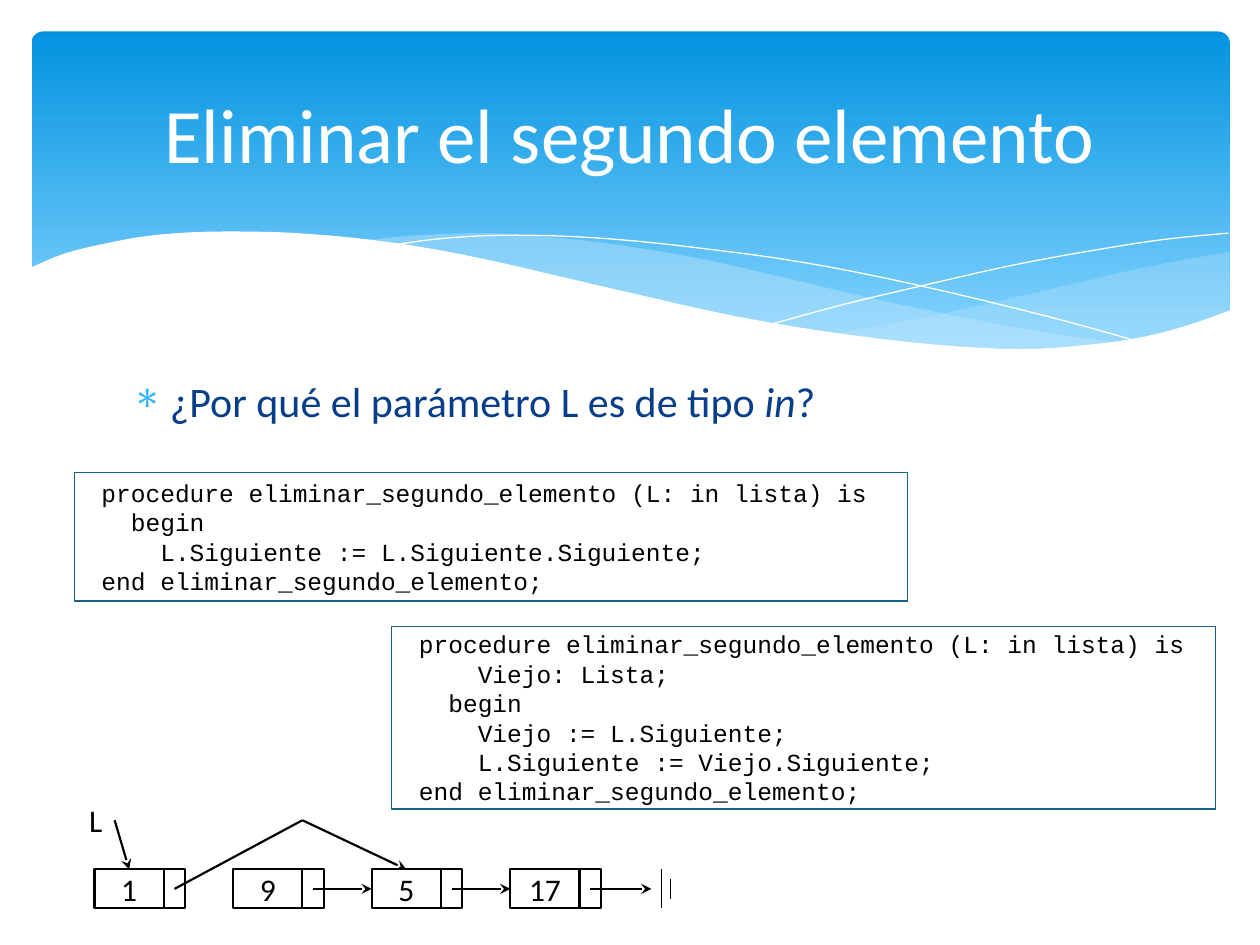
from lxml.etree import SubElement
from pptx import Presentation
from pptx.dml.color import RGBColor
from pptx.enum.shapes import MSO_CONNECTOR, MSO_SHAPE
from pptx.enum.text import MSO_ANCHOR, PP_ALIGN
from pptx.oxml.ns import qn
from pptx.util import Inches, Pt

COLORS = {
    "sky_top": "0293E0", "sky_bottom": "83D3FE", "wave": "C6E7FC", "white": "FFFFFF",
    "black": "000000", "bullet": "31B6FD", "body": "073E87", "code_border": "1A5F84",
}
RIGHT_WAVE_TOP = [(9.76, 2), (9.35, 2.07), (8.91, 2.16), (8.32, 2.3), (7.79, 2.42),
                  (7.29, 2.53), (6.61, 2.65)]
RIGHT_WAVE_BOTTOM = [(6.61, 2.65), (7.05, 2.71), (7.57, 2.76), (8.03, 2.78), (8.54, 2.76),
                     (8.97, 2.7), (9.35, 2.62), (9.76, 2.47)]
LEFT_WAVE_TOP = [(8.93, 2.73), (8.37, 2.65), (7.75, 2.54), (7.06, 2.4), (6.29, 2.22),
                 (5.69, 2.08), (5.14, 1.98), (4.65, 1.91), (4.2, 1.87), (3.8, 1.85),
                 (3.28, 1.87), (2.86, 1.91)]
LEFT_WAVE_BOTTOM = [(2.86, 1.91), (3.42, 1.99), (4.04, 2.11), (4.49, 2.22), (5.3, 2.4),
                    (6.01, 2.55), (6.65, 2.66), (7.22, 2.74), (7.73, 2.77), (8.18, 2.78),
                    (8.57, 2.77), (8.93, 2.73)]
FALLING_LINE = [(3.09, 1.95), (3.44, 1.9), (3.87, 1.87), (4.33, 1.87), (4.89, 1.9),
                (5.56, 1.97), (6.36, 2.08), (7.27, 2.26), (8.31, 2.51), (9.07, 2.72)]
RISING_LINE = [(6.13, 2.57), (6.72, 2.41), (7.48, 2.23), (8.06, 2.1), (8.66, 1.99),
               (9.24, 1.9), (9.75, 1.85)]
WHITE_WAVE = [(9.77, 2.46), (9.4, 2.59), (8.99, 2.69), (8.5, 2.75), (8.09, 2.77),
              (7.61, 2.75), (7.08, 2.7), (6.48, 2.62), (5.79, 2.5), (5.03, 2.33),
              (4.47, 2.2), (3.91, 2.07), (3.4, 1.97), (2.92, 1.9), (2.5, 1.86),
              (2.11, 1.84), (1.61, 1.84), (1.19, 1.87), (0.85, 1.93), (0.52, 2.01),
              (0.23, 2.13)]
SHORT_CODE = [
    " procedure eliminar_segundo_elemento (L: in lista) is",
    "   begin",
    "     L.Siguiente := L.Siguiente.Siguiente;",
    " end eliminar_segundo_elemento;",
]
LONG_CODE = [
    SHORT_CODE[0],
    "     Viejo: Lista;",
    "   begin",
    "     Viejo := L.Siguiente;",
    "     L.Siguiente := Viejo.Siguiente;",
    SHORT_CODE[-1],
]
NODE_TOP, NODE_HEIGHT, NODE_STEP = 6.9, 0.31, 1.1
VALUE_WIDTH, POINTER_WIDTH = 0.55, 0.17
POINTER_Y = NODE_TOP + NODE_HEIGHT / 2


def rgb(name):
    """Return the named colour."""
    return RGBColor.from_string(COLORS[name])


def write_text(shape, lines, size, color="black", font="Calibri", align=PP_ALIGN.LEFT,
               anchor=MSO_ANCHOR.MIDDLE, margins=(0.1, 0.05), bullet=None):
    """Write lines into a shape, with the words between asterisks in italics."""
    frame = shape.text_frame
    frame.word_wrap = True
    frame.vertical_anchor = anchor
    frame.margin_left = frame.margin_right = Inches(margins[0])
    frame.margin_top = frame.margin_bottom = Inches(margins[1])
    for index, line in enumerate(lines):
        paragraph = frame.add_paragraph() if index else frame.paragraphs[0]
        paragraph.alignment = align
        if bullet:
            add_bullet(paragraph, bullet)
        for part, text in enumerate(line.split("*")):
            run = paragraph.add_run()
            run.text = text
            run.font.name, run.font.size = font, Pt(size)
            run.font.color.rgb = rgb(color)
            if part % 2:
                run.font.italic = True


def add_bullet(paragraph, character):
    """Give a paragraph a hanging coloured bullet."""
    properties = paragraph._p.get_or_add_pPr()
    properties.set("marL", str(Inches(0.3)))
    properties.set("indent", str(-Inches(0.3)))
    color = SubElement(properties, qn("a:buClr"))
    SubElement(color, qn("a:srgbClr"), val=COLORS["bullet"])
    SubElement(properties, qn("a:buChar"), char=character)


def add_box(slide, left, top, width, height, line="black", weight=1.25):
    """Add an unfilled outlined rectangle."""
    shape = slide.shapes.add_shape(MSO_SHAPE.RECTANGLE, Inches(left), Inches(top),
                                   Inches(width), Inches(height))
    shape.shadow.inherit = False
    shape.fill.background()
    shape.line.color.rgb = rgb(line)
    shape.line.width = Pt(weight)
    return shape


def add_line(slide, start, end, weight=1.25, arrow=False, target=None, site=0):
    """Add a straight line, optionally with an arrowhead and a joined target."""
    line = slide.shapes.add_connector(MSO_CONNECTOR.STRAIGHT,
                                      *[Inches(value) for value in (*start, *end)])
    if target is not None:
        line.end_connect(target, site)
    line.line.color.rgb = rgb("black")
    line.line.width = Pt(weight)
    if arrow:
        SubElement(line.line._get_or_add_ln(), qn("a:tailEnd"), type="stealth")
    SubElement(line.element.spPr, qn("a:effectLst"))


def smooth(points, steps=4):
    """Return a Catmull-Rom curve through the points."""
    padded = [points[0], *points, points[-1]]
    curve = [points[0]]
    for before, start, end, after in zip(padded, padded[1:], padded[2:], padded[3:]):
        for step in range(1, steps + 1):
            t = step / steps
            curve.append(tuple(
                (2 * b + (c - a) * t + (2 * a - 5 * b + 4 * c - d) * t ** 2
                 + (3 * b - a - 3 * c + d) * t ** 3) / 2
                for a, b, c, d in zip(before, start, end, after)))
    return curve


def add_wave(slide, points, fill=None, opacity=100):
    """Add a filled wave, or an open white hairline when there is no fill."""
    vertices = [(Inches(x), Inches(y)) for x, y in points]
    builder = slide.shapes.build_freeform(*vertices[0])
    builder.add_line_segments(vertices[1:], close=fill is not None)
    shape = builder.convert_to_shape()
    shape.shadow.inherit = False
    if fill is None:
        shape.fill.background()
        shape.line.color.rgb = rgb("white")
        shape.line.width = Pt(0)
        return
    shape.line.fill.background()
    shape.fill.solid()
    shape.fill.fore_color.rgb = rgb(fill)
    if opacity < 100:
        color = shape.element.spPr.find(qn("a:solidFill"))[0]
        SubElement(color, qn("a:alpha"), val=str(opacity * 1000))


def add_banner(slide):
    """Add the gradient banner and its waves."""
    banner = slide.shapes.add_shape(MSO_SHAPE.ROUNDED_RECTANGLE, Inches(0.25), Inches(0.25),
                                    Inches(9.51), Inches(2.7))
    banner.adjustments[0] = 0.034
    banner.shadow.inherit = False
    banner.line.fill.background()
    banner.fill.gradient()
    banner.fill.gradient_angle = 270
    stops = zip(banner.fill.gradient_stops, ("sky_top", "sky_bottom"), (0, 0.9))
    for stop, color, position in stops:
        stop.color.rgb = rgb(color)
        stop.position = position
    add_wave(slide, smooth(RIGHT_WAVE_TOP) + smooth(RIGHT_WAVE_BOTTOM), "wave", 29)
    add_wave(slide, smooth(LEFT_WAVE_TOP) + smooth(LEFT_WAVE_BOTTOM), "wave", 40)
    add_wave(slide, smooth(FALLING_LINE))
    add_wave(slide, smooth(RISING_LINE))
    add_wave(slide, smooth(WHITE_WAVE) + [(0.23, 3.29), (9.77, 3.29)], "white")


def add_title(slide, text):
    """Place and format the title in front of the banner."""
    title = slide.shapes.title
    title.left, title.top = Inches(0.5), Inches(0.37)
    title.width, title.height = Inches(9), Inches(1.37)
    write_text(title, [text], 44, "white", align=PP_ALIGN.CENTER)
    title.element.getparent().append(title.element)


def add_text_box(slide, left, top, width, height, text, size, **text_format):
    """Add a text box with one line."""
    box = slide.shapes.add_textbox(Inches(left), Inches(top), Inches(width), Inches(height))
    write_text(box, [text], size, **text_format)


def add_code(slide, left, top, width, height, lines):
    """Add a bordered code listing."""
    box = add_box(slide, left, top, width, height, "code_border", 0.75)
    write_text(box, lines, 14, font="Courier New")


def add_node(slide, left, value):
    """Add a list node and return its value cell."""
    cell = add_box(slide, left, NODE_TOP, VALUE_WIDTH, NODE_HEIGHT)
    write_text(cell, [value], 18, align=PP_ALIGN.CENTER, margins=(0, 0))
    add_box(slide, left + VALUE_WIDTH, NODE_TOP, POINTER_WIDTH, NODE_HEIGHT)
    return cell


def add_linked_list(slide):
    """Add the linked list with its second node bypassed."""
    lefts = [0.75 + NODE_STEP * index for index in range(4)]
    cells = [add_node(slide, left, value) for left, value in zip(lefts, ("1", "9", "5", "17"))]
    origins = [(left + VALUE_WIDTH + POINTER_WIDTH / 2, POINTER_Y) for left in lefts]
    for index in (1, 2):
        add_line(slide, origins[index], (lefts[index + 1], POINTER_Y), arrow=True,
                 target=cells[index + 1], site=1)
    add_line(slide, origins[3], (5.17, POINTER_Y), arrow=True)
    bend = (2.4, 6.51)
    add_line(slide, origins[0], bend)
    add_line(slide, bend, (3.23, NODE_TOP), arrow=True, target=cells[2])
    add_line(slide, (0.91, 6.51), (1.02, NODE_TOP), arrow=True, target=cells[0])
    for x, half_height in ((5.25, 0.155), (5.32, 0.08)):
        add_line(slide, (x, POINTER_Y - half_height), (x, POINTER_Y + half_height), 0.75)
    add_text_box(slide, 0.51, 6.35, 0.5, 0.31, "L", 18, align=PP_ALIGN.CENTER)


def main():
    """Build and save the slide."""
    presentation = Presentation()
    presentation.slide_width, presentation.slide_height = Inches(10), Inches(7.5)
    slide = presentation.slides.add_slide(presentation.slide_layouts[5])
    add_banner(slide)
    add_title(slide, "Eliminar el segundo elemento")
    add_text_box(slide, 0.95, 2.93, 8.1, 0.6, "¿Por qué el parámetro L es de tipo *in*?", 24,
                 color="body", anchor=MSO_ANCHOR.TOP, bullet="∗")
    add_code(slide, 0.59, 3.75, 6.61, 1.02, SHORT_CODE)
    add_code(slide, 3.11, 4.97, 6.54, 1.45, LONG_CODE)
    add_linked_list(slide)
    presentation.save("out.pptx")


if __name__ == "__main__":
    main()
